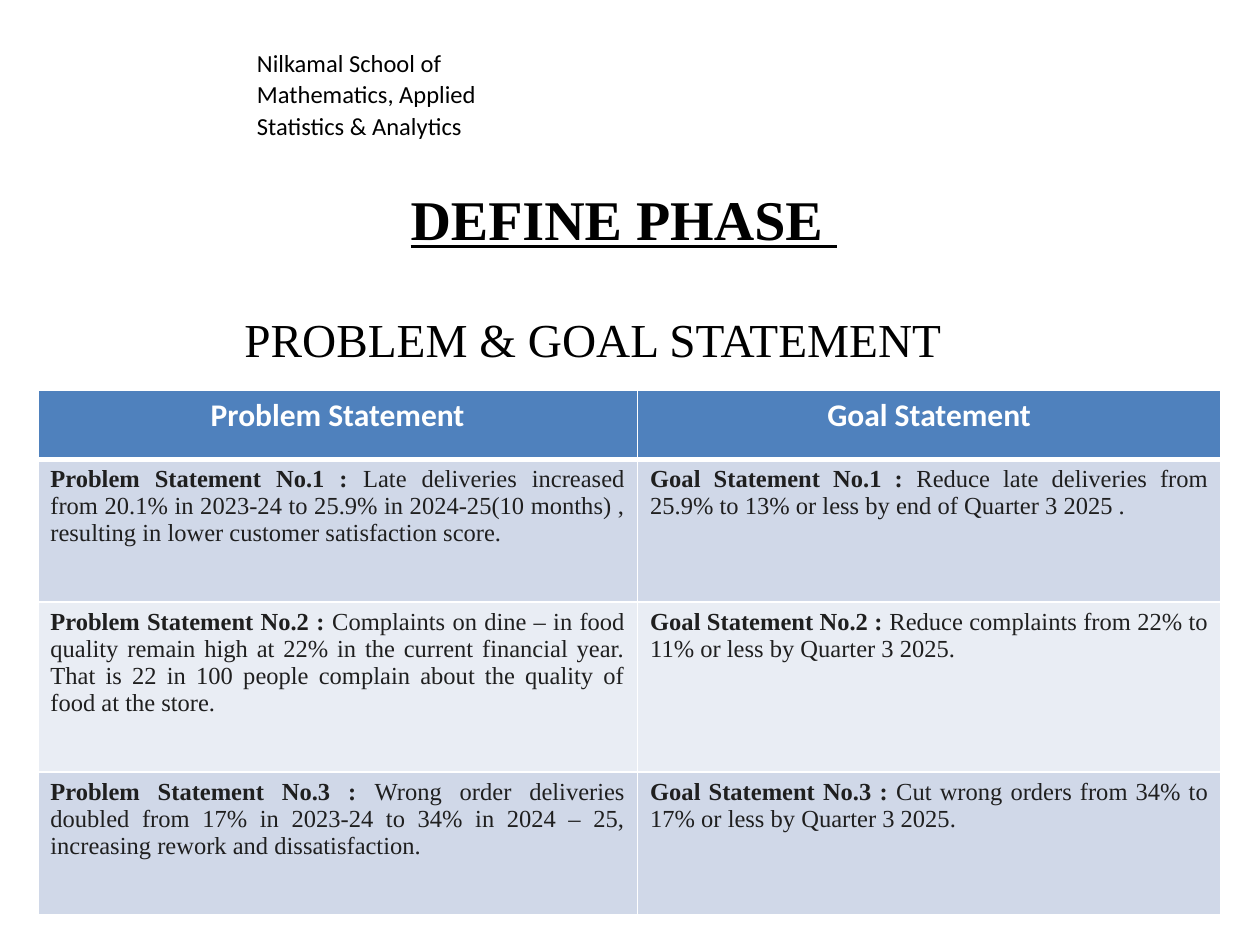
from dataclasses import dataclass

from lxml.etree import SubElement
from pptx import Presentation
from pptx.dml.color import RGBColor
from pptx.enum.text import MSO_ANCHOR as Anchor, MSO_AUTO_SIZE as AutoSize, PP_ALIGN as Align
from pptx.oxml.ns import qn
from pptx.util import Inches, Pt

WIDTH, HEIGHT = 10, 7.5
COLORS = {"text": "000000", "body": "1F1F1F", "white": "FFFFFF",
          "header": "4F81BD", "odd": "D0D8E8", "even": "E9EDF4"}
SERIF, SANS = "Times New Roman", "Calibri"


@dataclass
class Box:
    left: float
    top: float
    width: float
    height: float

    def emu(self) -> tuple:
        return (Inches(self.left * WIDTH), Inches(self.top * HEIGHT),
                Inches(self.width * WIDTH), Inches(self.height * HEIGHT))


@dataclass
class Style:
    font: str
    size: float
    color: str
    bold: bool | None = False
    underline: bool = False
    align: Align = Align.LEFT


@dataclass
class Pair:
    problem: str
    goal: str


COLUMN_SHARES = (0.476, 0.463)
ROW_SHARES = (0.073, 0.151, 0.18, 0.151)
TABLE = Box(0.03, 0.413, sum(COLUMN_SHARES), sum(ROW_SHARES))
HEADER = Style(SANS, 18, "white", bold=True, align=Align.CENTER)
BODY = Style(SERIF, 14, "body", bold=None, align=Align.JUSTIFY)
KINDS = ("Problem Statement", "Goal Statement")
PAIRS = (
    Pair("Late deliveries increased from 20.1% in 2023-24 to 25.9% in 2024-25(10 months) , "
         "resulting in lower customer satisfaction score.",
         "Reduce late deliveries from 25.9% to 13% or less by end of Quarter 3 2025 ."),
    Pair("Complaints on dine – in food quality remain high at 22% in the current financial year. "
         "That is 22 in 100 people complain about the quality of food at the store.",
         "Reduce complaints from 22% to 11% or less by Quarter 3 2025."),
    Pair("Wrong order deliveries doubled from 17% in 2023-24 to 34% in 2024 – 25, "
         "increasing rework and dissatisfaction.",
         "Cut wrong orders from 34% to 17% or less by Quarter 3 2025."),
)


def format_paragraph(p, style: Style) -> None:
    p.alignment = style.align
    p.font.name, p.font.size = style.font, Pt(style.size)
    p.font.bold, p.font.underline = style.bold, style.underline
    p.font.color.rgb = RGBColor.from_string(COLORS[style.color])


def write_text(sp, text: str, style: Style, margin: float | None = None):
    tf = sp.text_frame
    tf.word_wrap, tf.auto_size = True, AutoSize.SHAPE_TO_FIT_TEXT
    tf.vertical_anchor = Anchor.TOP
    if margin is not None:
        tf.margin_left = tf.margin_top = tf.margin_right = tf.margin_bottom = Inches(margin)
    p = tf.paragraphs[0]
    p.add_run().text = text
    format_paragraph(p, style)
    return p


def style_cell(cell, fill: str, top: float, bottom: float) -> None:
    tc_pr = cell._tc.get_or_add_tcPr()
    for side, width in (("L", 1), ("R", 1), ("T", top), ("B", bottom)):
        ln = SubElement(tc_pr, qn(f"a:ln{side}"), w=str(Pt(width)))
        SubElement(SubElement(ln, qn("a:solidFill")), qn("a:srgbClr"), val=COLORS["white"])
    cell.fill.solid()
    cell.fill.fore_color.rgb = RGBColor.from_string(COLORS[fill])


def add_statements(slide, box: Box) -> None:
    table = slide.shapes.add_table(len(ROW_SHARES), len(COLUMN_SHARES), *box.emu()).table
    for column, share in zip(table.columns, COLUMN_SHARES):
        column.width = Inches(share * WIDTH)
    for row, share in zip(table.rows, ROW_SHARES):
        row.height = Inches(share * HEIGHT)
    for col, kind in enumerate(KINDS):
        cell = table.cell(0, col)
        style_cell(cell, "header", 1, 3)
        p = cell.text_frame.paragraphs[0]
        p.add_run().text = kind
        format_paragraph(p, HEADER)
    for number, pair in enumerate(PAIRS, 1):
        for col, (kind, text) in enumerate(zip(KINDS, (pair.problem, pair.goal))):
            cell = table.cell(number, col)
            style_cell(cell, "odd" if number % 2 else "even", 3 if number == 1 else 1, 1)
            p = cell.text_frame.paragraphs[0]
            for part, bold in ((f"{kind} No.{number} : ", True), (text, False)):
                r = p.add_run()
                r.text, r.font.bold = part, bold
            format_paragraph(p, BODY)


def main() -> None:
    prs = Presentation()
    prs.slide_width, prs.slide_height = Inches(WIDTH), Inches(HEIGHT)
    slide = prs.slides.add_slide(prs.slide_layouts[5])

    title = slide.shapes.title
    title.left, title.top, title.width, title.height = Box(0.194, 0.328, 0.612, 0.063).emu()
    write_text(title, "PROBLEM & GOAL STATEMENT", Style(SERIF, 27, "text"), margin=0)

    school = slide.shapes.add_textbox(*Box(0.203, 0.047, 0.184, 0.101).emu())
    p = write_text(school, "Nilkamal School of Mathematics, Applied Statistics & Analytics",
                   Style(SANS, 14, "text"), margin=0.01)
    p.line_spacing = 1.07

    phase = slide.shapes.add_textbox(*Box(0.316, 0.189, 0.368, 0.085).emu())
    write_text(phase, "DEFINE PHASE ", Style(SERIF, 32, "text", bold=True, underline=True))

    add_statements(slide, TABLE)
    prs.save("out.pptx")


if __name__ == "__main__":
    main()
